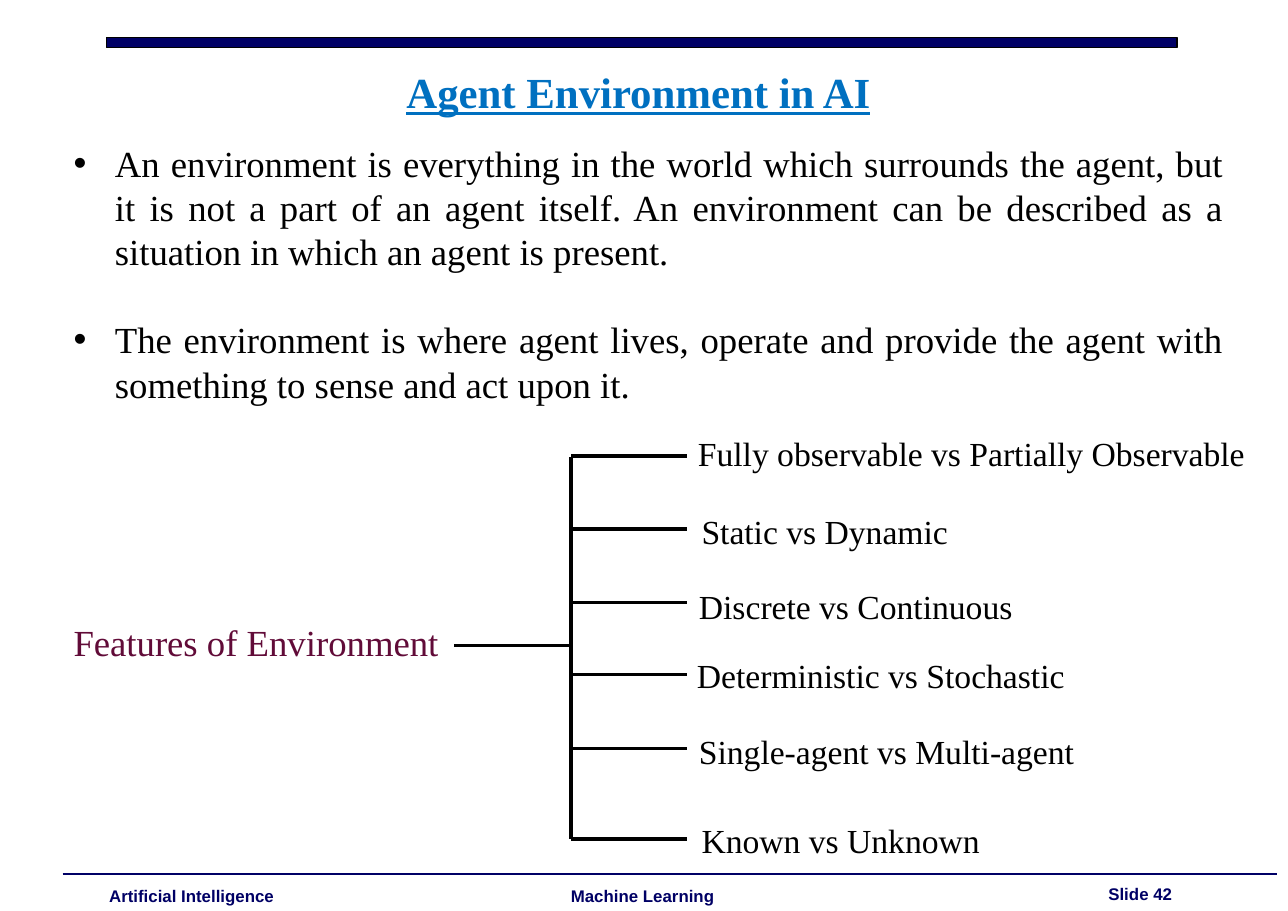
from pptx import Presentation
from pptx.dml.color import RGBColor
from pptx.enum.shapes import MSO_CONNECTOR as CONNECTOR, MSO_SHAPE as SHAPE
from pptx.enum.text import PP_ALIGN as ALIGN
from pptx.oxml.ns import qn
from pptx.util import Pt
from lxml.etree import SubElement


def color(value):
    return RGBColor.from_string(value)


def add_text(texts, place, ink, inset=(7.2, 3.6), spacing=None, **font):
    box = page.shapes.add_textbox(*map(Pt, place))
    frame = box.text_frame
    frame.word_wrap = True
    frame.margin_left = frame.margin_right = Pt(inset[0])
    frame.margin_top = frame.margin_bottom = Pt(inset[1])
    frame.text = "\n".join(texts)
    for para in frame.paragraphs:
        para.line_spacing = spacing
        span = para.runs[0]
        span.font.color.rgb = color(ink)
        for name, value in font.items():
            setattr(span.font, name, value)
    return frame.paragraphs


deck = Presentation()
deck.slide_width, deck.slide_height = Pt(841.68), Pt(595.44)
page = deck.slides.add_slide(deck.slide_layouts[6])

bar = page.shapes.add_shape(SHAPE.RECTANGLE, Pt(69.5), Pt(24.3), Pt(699.7), Pt(6.9))
bar.shadow.inherit = False
bar.fill.solid()
bar.fill.fore_color.rgb = color("000066")
bar.line.color.rgb = color("000000")
bar.line.width = Pt(0.75)

footers = [
    ("Slide 42", 724.3, 577.6),
    ("Artificial Intelligence", 71.3, 578.9),
    ("Machine Learning", 373, 578.9),
]
for text, left, top in footers:
    add_text([text], (left, top, 115, 14.4), "000065", inset=(0, 0),
             name="Arial", size=Pt(11), bold=True)

serif = "Times New Roman"
add_text(["Agent Environment in AI"], (258.5, 39.6, 420, 41), "0070C0",
         spacing=Pt(33.6), name=serif, size=Pt(28), bold=True, underline=True)

points = [
    "An environment is everything in the world which surrounds the agent, but it is not a part of an agent itself. "
    "An environment can be described as a situation in which an agent is present.",
    "The environment is where agent lives, operate and provide the agent with something to sense and act upon it.",
]
paras = add_text(points, (41, 88.6, 765.4, 181.4), "000000",
                 spacing=Pt(28.8), name=serif, size=Pt(24))
for para in paras:
    para.alignment = ALIGN.JUSTIFY
    props = para._p.get_or_add_pPr()
    props.set("marL", str(Pt(27)))
    props.set("indent", str(Pt(-27)))
    SubElement(props, qn("a:buFont"), typeface="Arial")
    SubElement(props, qn("a:buChar"), char="•")
paras[1].space_before = Pt(28.8)

add_text(["Features of Environment"], (41, 401.8, 280, 36), "610B38",
         spacing=Pt(28.8), name=serif, size=Pt(24))

features = [
    ("Fully observable vs Partially Observable", 449, 279.4, 298),
    ("Static vs Dynamic", 451.4, 330.5, 345.8),
    ("Discrete vs Continuous", 449.7, 379.4, 393.8),
    ("Deterministic vs Stochastic", 448.4, 424.8, 441),
    ("Single-agent vs Multi-agent", 449.7, 474.5, 489.4),
    ("Known vs Unknown", 451.4, 532.1, 548.3),
]
trunk, tip = 373.2, 449
lines = [
    (41, 571, 834.5, 571, "000066", 1.25),
    (296.8, 421.8, trunk, 421.8, "000000", 2.25),
    (trunk, 298.8, trunk, 548.3, "000000", 2.25),
]
for text, left, top, branch in features:
    add_text([text], (left, top, 385, 33.8), "000000",
             spacing=Pt(26.4), name=serif, size=Pt(22))
    lines.append((trunk, branch, tip, branch, "000000", 2.25))

for *ends, ink, width in lines:
    line = page.shapes.add_connector(CONNECTOR.STRAIGHT, *map(Pt, ends))
    line.line.color.rgb = color(ink)
    line.line.width = Pt(width)
    SubElement(line._element.spPr, qn("a:effectLst"))

deck.save("out.pptx")
